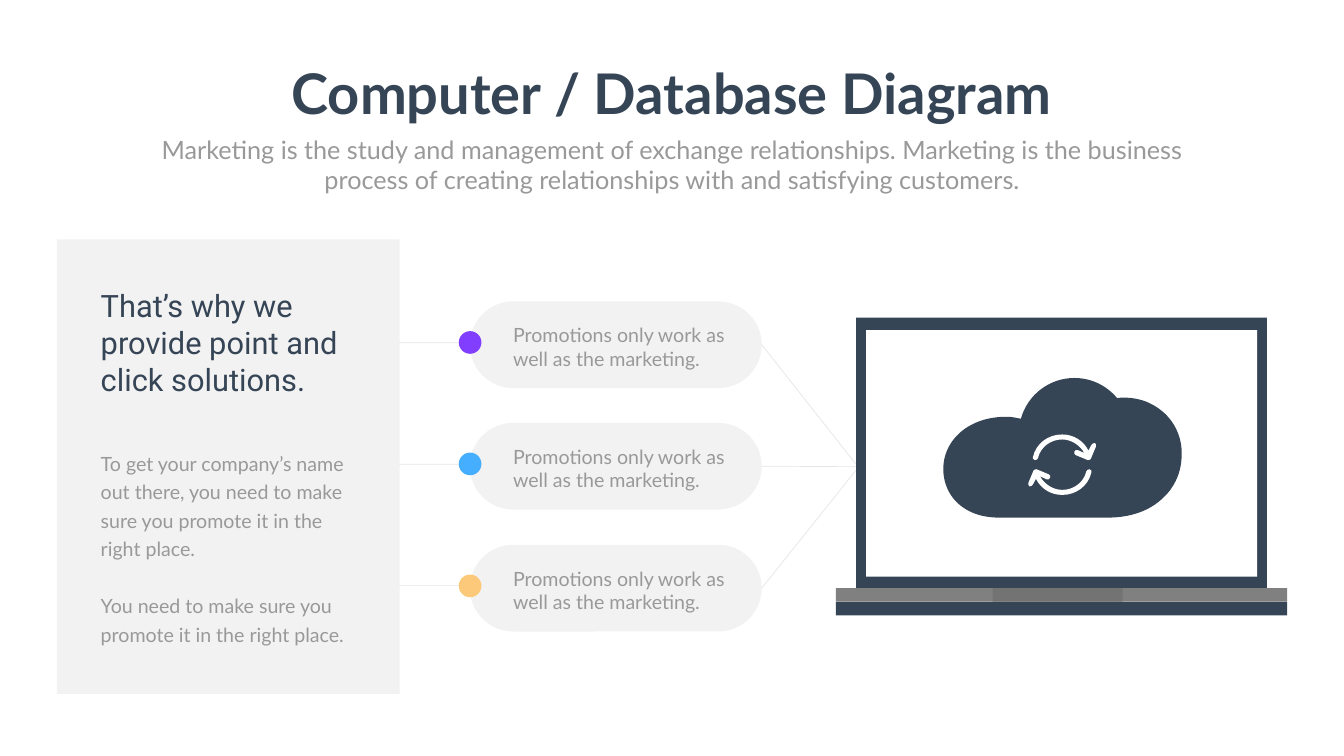
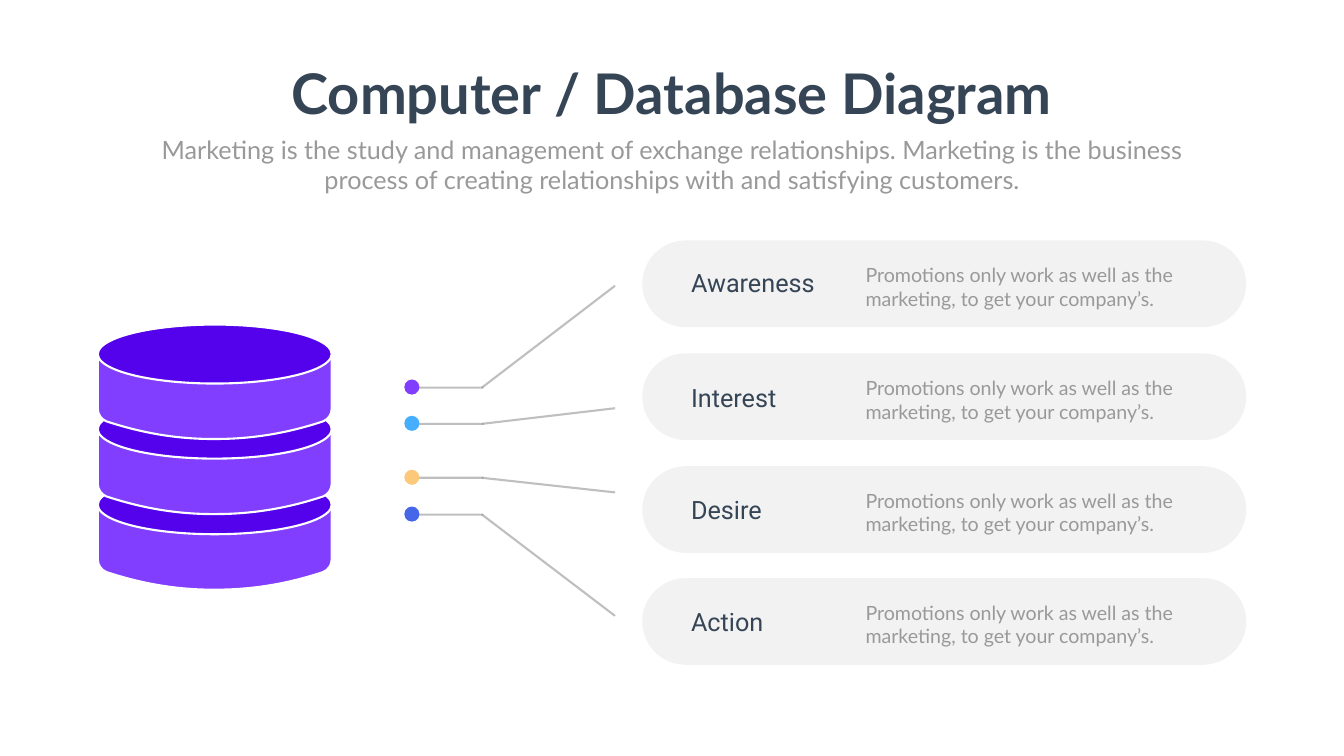
from lxml import etree
from pptx import Presentation
from pptx import util as u
from pptx.dml.color import RGBColor
from pptx.enum import shapes, text
from pptx.oxml.ns import qn

PX = 9144  # EMU in one px, 100 px to the inch
COLORS = {
    "navy": "364556", "text": "999999", "gray": "808080", "dark_gray": "737373",
    "white": "FFFFFF", "purple": "823EFE", "deep_purple": "5401EC",
    "blue": "45AEFF", "orange": "FCC87A", "indigo": "4567E8",
}
RECTANGLE = shapes.MSO_SHAPE.RECTANGLE
OVAL = shapes.MSO_SHAPE.OVAL
PILL = shapes.MSO_SHAPE.ROUNDED_RECTANGLE


class Deck:
    """Style of the presentation and its current slide."""

    def __init__(self, width, height):
        self.presentation = Presentation()
        self.presentation.slide_width = width * PX
        self.presentation.slide_height = height * PX
        self.slide = None

    def color(self, name):
        return RGBColor.from_string(COLORS[name])

    def set_alpha(self, properties, percent):
        color = next(properties.iter(qn("a:srgbClr")))
        etree.SubElement(color, qn("a:alpha")).set("val", str(percent * 1000))

    def paint(self, shape, fill, alpha=100, outline=None):
        shape.shadow.inherit = False
        shape.fill.solid()
        shape.fill.fore_color.rgb = self.color(fill)
        if alpha < 100:
            self.set_alpha(shape._element.spPr, alpha)
        if outline:
            shape.line.color.rgb = self.color(outline)
            shape.line.width = u.Pt(3)
        else:
            shape.line.fill.background()
        return shape

    def shape(self, kind, x, y, width, height, fill, alpha=100, outline=None):
        shape = self.slide.shapes.add_shape(kind, x * PX, y * PX, width * PX, height * PX)
        return self.paint(shape, fill, alpha, outline)

    def pill(self, x, y, width):
        shape = self.shape(PILL, x, y, width, 172, "gray", 10)
        shape.adjustments[0] = 0.5
        return shape

    def outline(self, start, segments, fill, outline=None):
        """Closed outline; a segment is a point or a six-number curve."""
        points = [pair for segment in segments
                  for pair in zip(segment[::2], segment[1::2])]
        builder = self.slide.shapes.build_freeform(*start, scale=PX)
        builder.add_line_segments(points, close=True)
        shape = builder.convert_to_shape()

        # Join the three points of each curve into one cubic step
        steps = iter(list(shape._element.spPr.iter(qn("a:lnTo"))))
        for segment in segments:
            step = next(steps)
            if len(segment) == 6:
                step_parent = step.getparent()
                curve = etree.Element(qn("a:cubicBezTo"))
                step_parent.replace(step, curve)
                curve.append(step[0])
                for _ in range(2):
                    control = next(steps)
                    curve.append(control[0])
                    step_parent.remove(control)
        return self.paint(shape, fill, outline=outline)

    def line(self, x1, y1, x2, y2, width, alpha, begin=None):
        connector = self.slide.shapes.add_connector(
            shapes.MSO_CONNECTOR.STRAIGHT, x1 * PX, y1 * PX, x2 * PX, y2 * PX)
        if begin:
            connector.begin_connect(*begin)
        connector.line.color.rgb = self.color("gray")
        connector.line.width = u.Pt(width)
        properties = connector._element.spPr
        self.set_alpha(properties, alpha)
        etree.SubElement(properties, qn("a:effectLst"))

    def text(self, content, x, y, width, height, size, font="Lato", color="text",
             bold=False, centered=False, wrap=True, spacing=None):
        box = self.slide.shapes.add_textbox(x * PX, y * PX, width * PX, height * PX)
        frame = box.text_frame
        frame.word_wrap = wrap
        frame.auto_size = text.MSO_AUTO_SIZE.SHAPE_TO_FIT_TEXT
        frame.text = content
        for index, paragraph in enumerate(frame.paragraphs):
            if centered:
                paragraph.alignment = text.PP_ALIGN.CENTER
            if spacing:
                paragraph.line_spacing = u.Pt(spacing)
                if index:
                    paragraph.space_before = u.Pt(spacing)
            for run in paragraph.runs:
                run.font.name = font
                run.font.size = u.Pt(size)
                run.font.bold = bold
                run.font.color.rgb = self.color(color)

    def heading(self, content, x, y, width, height, size):
        self.text(content, x, y, width, height, size, "Roboto", "navy")

    def new_slide(self):
        self.slide = self.presentation.slides.add_slide(self.presentation.slide_layouts[6])

    def title(self):
        self.text("Computer / Database Diagram", 560, 112, 1545, 145, 80, color="navy",
                  bold=True, centered=True, wrap=False)
        self.text("Marketing is the study and management of exchange relationships. "
                  "Marketing is the business process of creating relationships with "
                  "and satisfying customers.", 292, 261, 2082, 131, 36, centered=True)


def draw_laptop(deck):
    for x, y, width, height, fill in (
            (1698, 630, 815, 537, "navy"), (1718, 655, 776, 489, "white"),
            (1658, 1167, 895, 27, "gray"), (1658, 1194, 895, 27, "navy"),
            (1969, 1167, 258, 27, "dark_gray")):
        deck.shape(RECTANGLE, x, y, width, height, fill)


def draw_sync_cloud(deck):
    deck.outline((2197, 1027), [
        (1981, 1027), (1937, 1027, 1901, 1009, 1883, 977),
        (1867, 948, 1867, 912, 1884, 883), (1894, 866, 1909, 852, 1927, 843),
        (1947, 832, 1971, 827, 1997, 827), (2007, 827, 2016, 829, 2025, 831),
        (2038, 784, 2081, 750, 2131, 750), (2165, 750, 2195, 765, 2216, 790),
        (2221, 789, 2225, 789, 2229, 789), (2264, 789, 2293, 802, 2315, 825),
        (2334, 845, 2345, 873, 2344, 902), (2344, 935, 2331, 966, 2307, 988),
        (2280, 1014, 2242, 1027, 2197, 1027)], "navy")

    # Two arrows, the lower one being the upper one turned by half a circle
    start = (2172, 879)
    arrow = [
        (2169, 879, 2166, 880, 2165, 883), (2159, 894),
        (2150, 875, 2130, 862, 2107, 862), (2079, 862, 2055, 880, 2049, 907),
        (2048, 909, 2049, 912, 2053, 913), (2056, 913, 2058, 911, 2059, 909),
        (2064, 887, 2084, 872, 2107, 872), (2125, 872, 2142, 883, 2151, 899),
        (2138, 893), (2135, 892, 2133, 893, 2131, 896),
        (2130, 899, 2131, 901, 2134, 903), (2158, 913),
        (2162, 913, 2163, 911, 2164, 910), (2174, 886),
        (2175, 883, 2174, 881, 2172, 879)]

    def turn(values):
        return tuple((1844 if i % 2 else 4214) - value for i, value in enumerate(values))

    deck.outline(start, arrow, "white")
    deck.outline(turn(start), [turn(segment) for segment in arrow], "white")


def computer_slide(deck):
    deck.new_slide()
    draw_laptop(deck)

    # Side panel
    deck.shape(RECTANGLE, 113, 475, 680, 902, "gray", 10)
    deck.text("To get your company’s name out there, you need to make sure you promote "
              "it in the right place.\nYou need to make sure you promote it in the right "
              "place.", 190, 881, 510, 407, 28, spacing=40.8)
    deck.heading("That’s why we provide point and click solutions.", 190, 564, 535, 232, 44)

    # Promotions, each linked to the panel and the laptop
    for i, (color, screen_y) in enumerate((("purple", 921), ("blue", 926), ("orange", 933))):
        top = 598 + 483 * i // 2
        pill = deck.pill(932, top, 579)
        deck.text("Promotions only work as well as the marketing.",
                  1008, top + 38, 456, 104, 28)
        deck.shape(OVAL, 910, top + 59, 45, 45, color)
        deck.line(1511, top + 86, 1698, screen_y, 1, 20, begin=(pill, 3))
        deck.line(792, 680 + 241 * i, 912, 680 + 241 * i, 1, 20)

    draw_sync_cloud(deck)
    deck.title()


def draw_database(deck):
    for i in (2, 1, 0):
        top = 644 + 299 * i // 2
        deck.outline((658, top + 63), [
            (658, top + 167),
            (658, top + 178, 651, top + 188, 641, top + 192),
            (590, top + 209, 518, top + 227, 429, top + 227),
            (337, top + 228, 263, top + 209, 211, top + 192),
            (201, top + 188, 194, top + 178, 194, top + 167),
            (194, top + 63)], "purple", "white")
        deck.shape(OVAL, 194, top, 464, 117, "deep_purple", outline="white")


def database_slide(deck):
    deck.new_slide()
    draw_database(deck)

    # Stages with their pointers: name, tops of pill and name, dot colour,
    # pointer height at dot and at pill
    stages = (("Awareness", 477, 526, "purple", 769, 567),
              ("Interest", 701, 753, "blue", 841, 810),
              ("Desire", 925, 976, "orange", 948, 977),
              ("Action", 1147, 1199, "indigo", 1021, 1222))
    for name, top, name_top, color, dot_y, end_y in stages:
        deck.pill(1274, top, 1198)
        deck.text("Promotions only work as well as the marketing, to get your company’s.",
                  1707, top + 40, 649, 104, 28)
        deck.heading(name, 1361, name_top, 346, 71, 36)
        deck.line(956, dot_y, 1220, end_y, 3, 50)
        deck.line(959, dot_y, 810, dot_y, 3, 50)
        deck.shape(OVAL, 802, dot_y - 16, 30, 30, color)
    deck.title()


def main():
    deck = Deck(2666, 1500)
    computer_slide(deck)
    database_slide(deck)
    deck.presentation.save("out.pptx")


if __name__ == "__main__":
    main()
